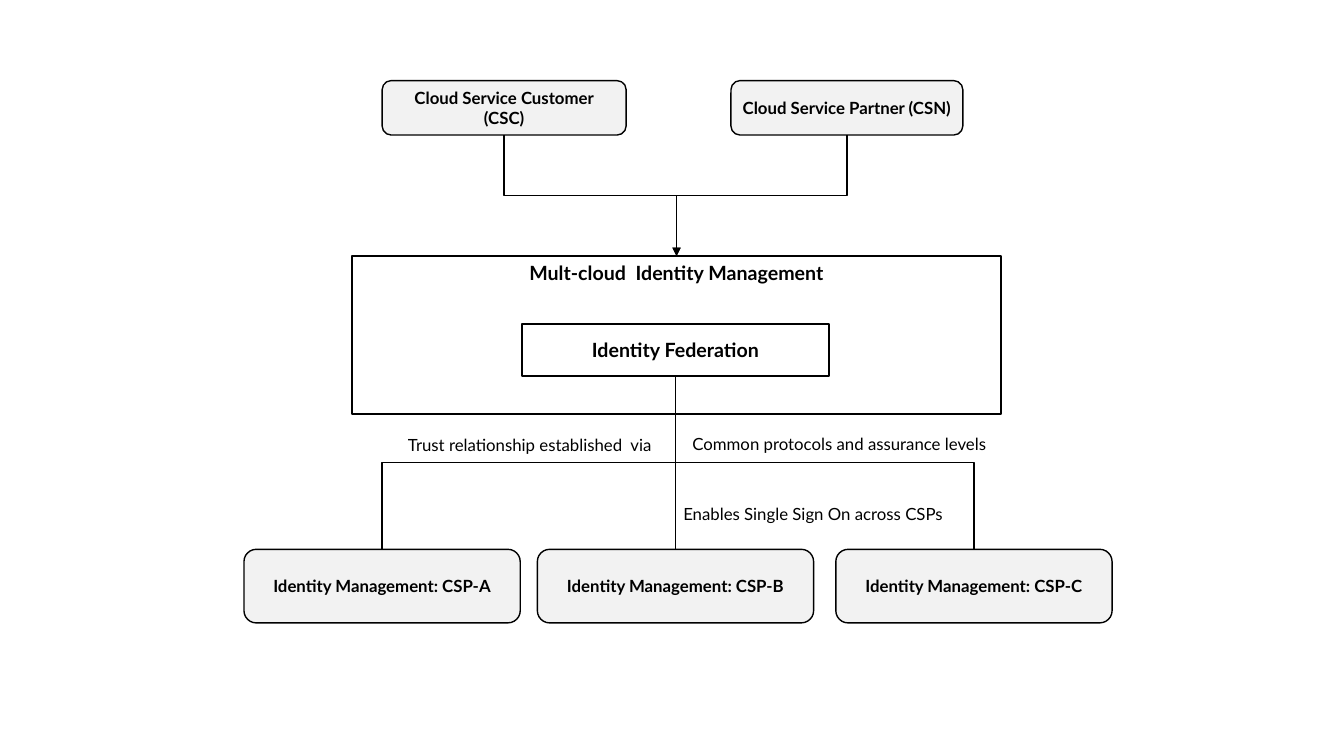
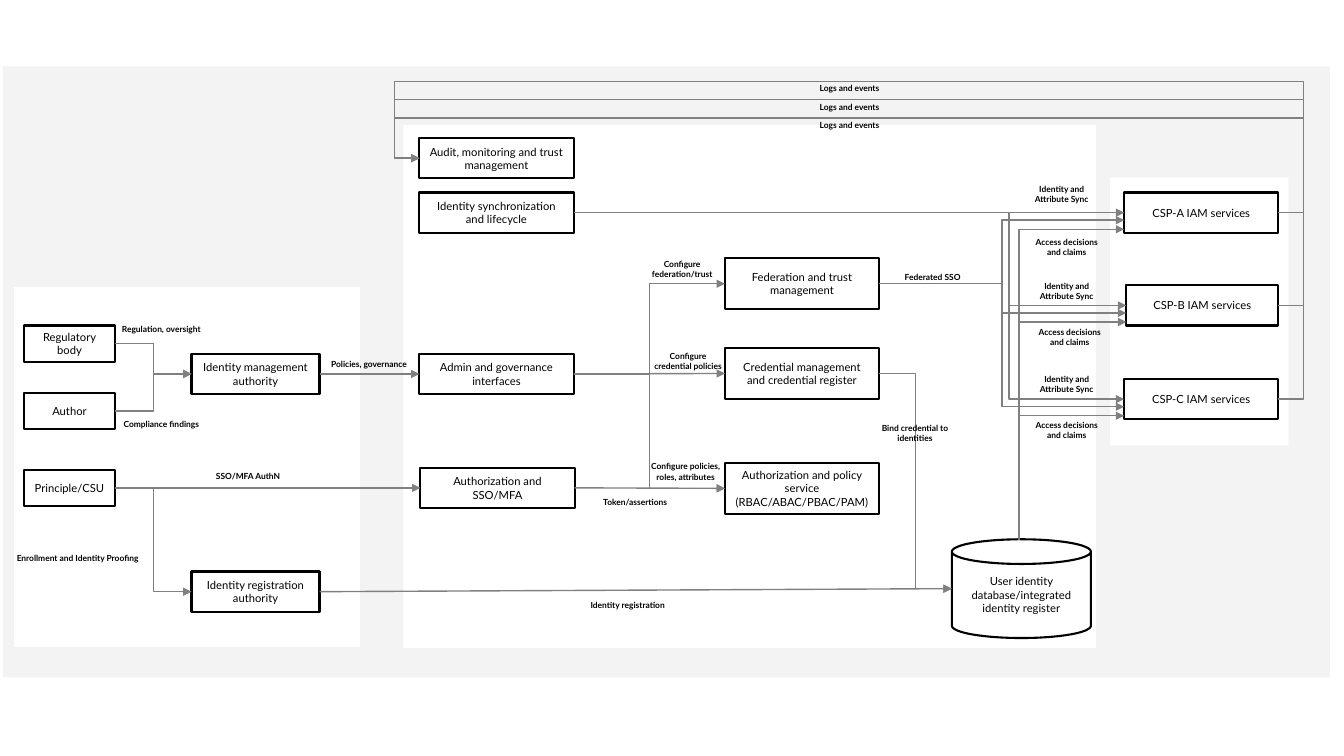
from dataclasses import dataclass

from lxml.etree import SubElement
from pptx import Presentation
from pptx.dml.color import RGBColor as Rgb
from pptx.enum.shapes import MSO_CONNECTOR as Wire, MSO_SHAPE as Form
from pptx.enum.text import MSO_ANCHOR as Anchor, MSO_AUTO_SIZE as Fit, PP_ALIGN as Align
from pptx.oxml.ns import qn
from pptx.util import Inches, Pt


@dataclass(frozen=True)
class Theme:
    font: str = "Lato"
    ink: Rgb = Rgb(0, 0, 0)
    white: Rgb = Rgb(255, 255, 255)
    soft: Rgb = Rgb(0xF2, 0xF2, 0xF2)
    backdrop: Rgb = Rgb(0xF3, 0xF3, 0xF3)
    flow: Rgb = Rgb(0x80, 0x80, 0x80)
    heading: int = 14
    body: int = 12
    box: int = 8
    label: int = 6
    thin: float = 1
    thick: float = 1.5


theme = Theme()
deck = Presentation()
deck.slide_width, deck.slide_height = Inches(13.33), Inches(7.5)

# All lengths below are cells of a grid of 133.3 columns and 75 rows
COL, ROW = deck.slide_width / 133.3, deck.slide_height / 75
# Each side: share of width, share of height, order among the glue points
SIDES = {"top": (0.5, 0, 0), "left": (0, 0.5, 1), "bottom": (0.5, 1, 2), "right": (1, 0.5, 3)}


def write(slide, text, area, *, form=None, fill=theme.white, line=theme.thick,
          size=theme.box, bold=False, anchor=Anchor.MIDDLE):
    """Add text in a shape, or in a plain text box when no form is given."""
    left, top, width, height = area
    place = [round(v) for v in (left * COL, top * ROW, width * COL, height * ROW)]
    if form is None:
        item = slide.shapes.add_textbox(*place)
    else:
        item = slide.shapes.add_shape(form, *place)
        item.shadow.inherit = False
        item.fill.solid()
        item.fill.fore_color.rgb = fill
        if line:
            item.line.color.rgb = theme.ink
            item.line.width = Pt(line)
        else:
            item.line.fill.background()
    if text:
        frame = item.text_frame
        frame.word_wrap = True
        frame.margin_left = frame.margin_right = Inches(0.09)
        if form is None:
            frame.auto_size = Fit.SHAPE_TO_FIT_TEXT
        else:
            frame.vertical_anchor = anchor
        paragraph = frame.paragraphs[0]
        paragraph.alignment = Align.CENTER
        run = paragraph.add_run()
        run.text = text
        run.font.name, run.font.size, run.font.bold = theme.font, Pt(size), bold
        run.font.color.rgb = theme.ink
    return item


def link(slide, source, source_side, target, target_side, *, bends=0, via=(),
         color=theme.flow, arrow=True):
    """Glue a connector to two shapes; via lists the x, y, x of its inner legs."""
    ends, sites = [], []
    for item, side in ((source, source_side), (target, target_side)):
        across, down, order = SIDES[side]
        ends.append((item.left + across * item.width, item.top + down * item.height))
        sites.append({Form.OVAL: 2 * order, Form.CAN: order + 1}.get(item.auto_shape_type, order))
    (x0, y0), (x1, y1) = ends
    dx, dy = x1 - x0, y1 - y0
    wire = slide.shapes.add_connector(Wire.ELBOW if bends else Wire.STRAIGHT, 0, 0, 0, 0)
    wire.begin_connect(source, sites[0])
    wire.end_connect(target, sites[1])

    # Frame of the connector: turned a quarter when it leaves upwards or downwards
    upright = bends and source_side in ("top", "bottom")
    width, height = (abs(dy), abs(dx)) if upright else (abs(dx), abs(dy))
    wire.left, wire.top = round((x0 + x1 - width) / 2), round((y0 + y1 - height) / 2)
    wire.width, wire.height = round(width), round(height)
    properties = wire._element.spPr
    frame = properties.find(qn("a:xfrm"))
    turn = (270 if dx > 0 and dy > 0 else 90) if upright else 0
    frame.set("rot", str(turn * 60000))
    frame.set("flipH", str(int(dx > 0 if upright else dx < 0)))
    frame.set("flipV", str(int(dy < 0)))

    # Bends
    if bends:
        geometry = properties.find(qn("a:prstGeom"))
        geometry.set("prst", f"bentConnector{bends + 1}")
        for number, stop in enumerate(via):
            share = (stop * COL - x0) / dx if number % 2 == 0 else (stop * ROW - y0) / dy
            SubElement(geometry.find(qn("a:avLst")), qn("a:gd"),
                       name=f"adj{number + 1}", fmla=f"val {round(share * 100000)}")

    # Line, arrowhead, no shadow
    wire.line.color.rgb = color
    wire.line.width = Pt(theme.thin)
    if arrow:
        SubElement(wire.line._get_or_add_ln(), qn("a:tailEnd"), type="triangle")
    SubElement(properties, qn("a:effectLst"))


# Slide 1: identity federation across providers
overview = deck.slides.add_slide(deck.slide_layouts[6])
rounded = dict(form=Form.ROUNDED_RECTANGLE, fill=theme.soft, line=theme.thin,
               size=theme.body, bold=True)
framed = dict(form=Form.RECTANGLE, size=theme.heading, bold=True)
customer = write(overview, "Cloud Service Customer (CSC)", (37.9, 8, 24.2, 5.4), **rounded)
partner = write(overview, "Cloud Service Partner (CSN)", (72.5, 8, 23, 5.4), **rounded)
management = write(overview, "Mult-cloud  Identity Management", (34.9, 25.4, 64.4, 15.7),
                   anchor=Anchor.TOP, **framed)
federation = write(overview, "Identity Federation", (51.8, 32.1, 30.4, 5.2), **framed)

for party in (customer, partner):
    link(overview, party, "bottom", management, "top", bends=2, color=theme.ink)
for letter, left, bends in (("A", 24.2, 2), ("B", 53.3, 0), ("C", 82.9, 2)):
    provider = write(overview, f"Identity Management: CSP-{letter}",
                     (left, 54.5, 27.4, 7.3), **rounded)
    link(overview, federation, "bottom", provider, "top", bends=bends,
         color=theme.ink, arrow=False)
for caption, area in (
    ("Trust relationship established  via", (38.8, 42.6, 27.5, 3)),
    ("Common protocols and assurance levels", (67.3, 42.5, 31.9, 3)),
    ("Enables Single Sign On across CSPs", (65.2, 49.5, 30.9, 3)),
):
    write(overview, caption, area, size=theme.body)

# Slide 2: identity flows in detail
flows = deck.slides.add_slide(deck.slide_layouts[6])

# Backdrop and zones
write(flows, "", (0.3, 6.6, 131.6, 60.6), form=Form.RECTANGLE, fill=theme.backdrop, line=0)
for zone in ((110.1, 17.6, 17.7, 26.6), (1.4, 28.5, 34.3, 35.7), (40, 12.4, 68.7, 51.9)):
    write(flows, "", zone, form=Form.RECTANGLE, line=0)

# Boxes: each column of the chart shares one size
columns = (
    (9, 3.6, (("Regulatory body", 2.4, 32.3), ("Author", 2.4, 39),
              ("Principle/CSU", 2.4, 46.6))),
    (12.7, 4, (("Identity management authority", 19, 35.1),
               ("Identity registration authority", 19, 56.7))),
    (15.3, 4, (("Audit, monitoring and trust management", 41.6, 13.7),
               ("Identity synchronization and lifecycle", 41.6, 19.1),
               ("Admin and governance interfaces", 41.6, 35.1),
               ("Authorization and SSO/MFA", 41.7, 46.4))),
    (15.3, 5.1, (("Federation and trust management", 71.9, 25.6),
                 ("Credential management and credential register", 71.9, 34.5),
                 ("Authorization and policy service (RBAC/ABAC/PBAC/PAM)", 71.9, 45.9))),
)
boxes = [write(flows, text, (left, top, width, height), form=Form.RECTANGLE)
         for width, height, column in columns for text, left, top in column]
(regulator, author, principal, authority, registration, audit, sync, admin, sign_on,
 trust, credentials, policy) = boxes
register = write(flows, "User identity database/integrated identity register",
                 (94.4, 53.5, 13.8, 9.8), form=Form.CAN)
outlet = write(flows, "", (100.4, 53.6, 1.3, 1.9), form=Form.OVAL, line=0)

# Providers, with docking points for the sign-on and access flows
providers = (
    ("A", 111.5, 19.1, 15.3, 11.7, (100.8, 17.8), (101.3, 23)),
    ("B", 111.7, 28.3, 15.1, 9.9, (101.3, 27.4), (101.6, 32)),
    ("C", 111.5, 37.6, 15.3, 8.1, (101.3, 36.6), (101.3, 41.2)),
)
for letter, left, top, width, rail, sync_label, access_label in providers:
    sso_dock, access_dock = [write(flows, "", (left, top + drop, 1.3, 1.9),
                                   form=Form.OVAL, line=0) for drop in (1.8, 2.7)]
    provider = write(flows, f"CSP-{letter} IAM services", (left, top, width, 4),
                     form=Form.RECTANGLE)
    link(flows, provider, "right", audit, "left", bends=4, via=(129.3, rail, 39.1))
    if letter == "A":
        link(flows, sync, "right", provider, "left")
    else:
        link(flows, sync, "right", provider, "left", bends=2, via=(100.1,))
    link(flows, outlet, "top", access_dock, "left", bends=1)
    link(flows, trust, "right", sso_dock, "left", bends=2, via=(99.4,))
    for text, area in (
        ("Logs and events", (78.8, rail - 0.3, 10.9, 2)),
        ("Identity and Attribute Sync", (*sync_label, 9, 3)),
        ("Access decisions and claims", (*access_label, 9, 3)),
    ):
        write(flows, text, area, size=theme.label, bold=True)

# Remaining flows, from right side to left side
for source, target, bends in (
    (regulator, authority, 2), (author, authority, 2), (principal, registration, 2),
    (principal, sign_on, 0), (authority, admin, 0), (registration, register, 0),
    (admin, trust, 2), (admin, credentials, 0), (admin, policy, 2),
    (sign_on, policy, 0), (credentials, register, 2),
):
    link(flows, source, "right", target, "left", bends=bends)

# Flow labels
for text, left, top, width, height in (
    ("Regulation, oversight", 10.7, 31.7, 10.6, 2),
    ("Compliance findings", 10.7, 41.1, 10.6, 2),
    ("Enrollment and Identity Proofing", 0.4, 54.4, 14.6, 2),
    ("SSO/MFA AuthN", 20.1, 46.2, 9, 2),
    ("Policies, governance", 31.3, 35.1, 10.6, 2),
    ("Identity registration", 56.9, 59, 10.7, 2),
    ("Token/assertions", 58.5, 48.8, 9, 2),
    ("Configure federation/trust", 63.2, 25.2, 8.9, 3),
    ("Configure credential policies", 63.6, 34.3, 9.3, 3),
    ("Configure policies, roles, attributes", 63, 45.3, 10, 3),
    ("Bind credential to identities", 86.1, 41.5, 9.3, 3),
    ("Federated SSO", 88, 26.5, 9, 2),
):
    write(flows, text, (left, top, width, height), size=theme.label, bold=True)

deck.save("out.pptx")
